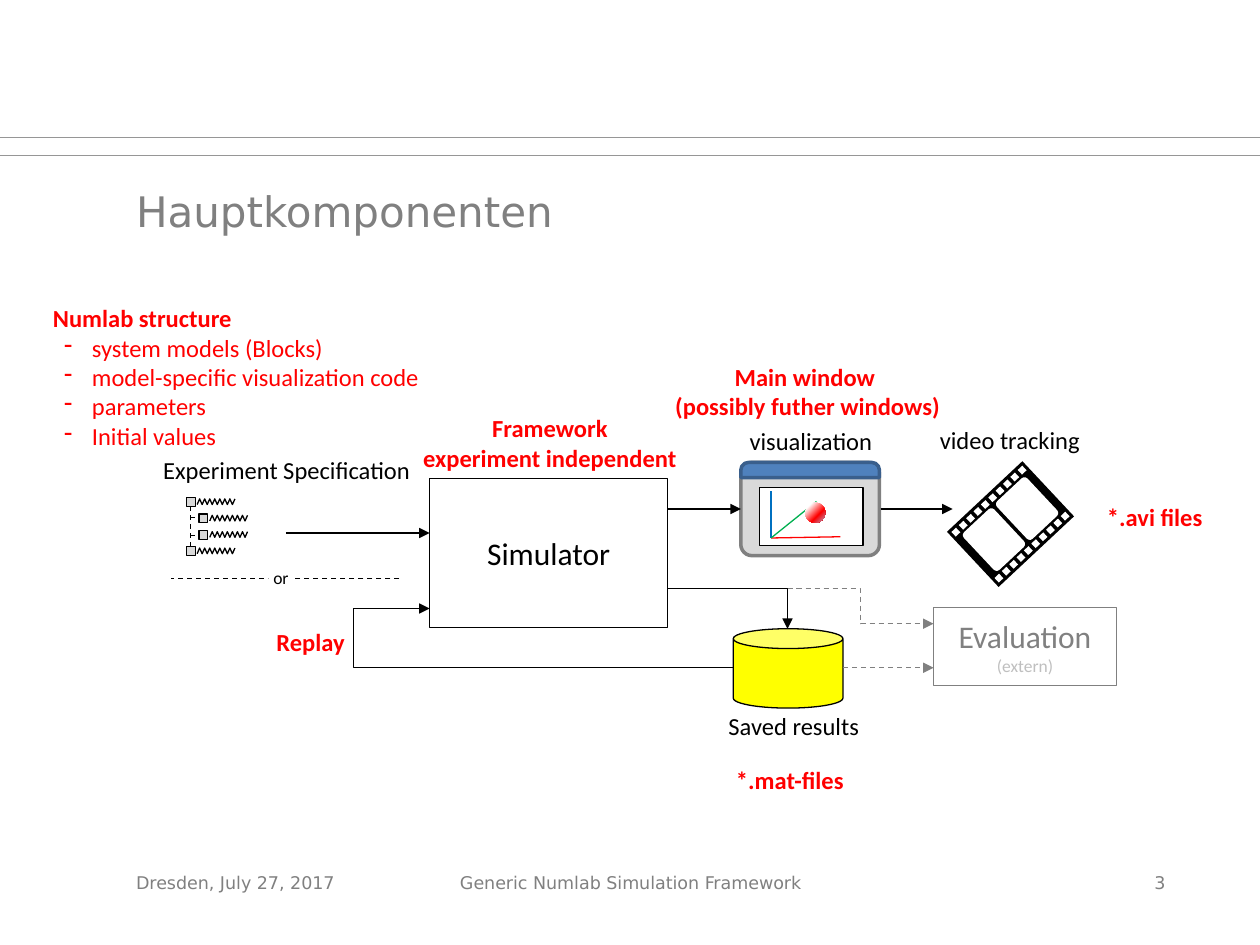
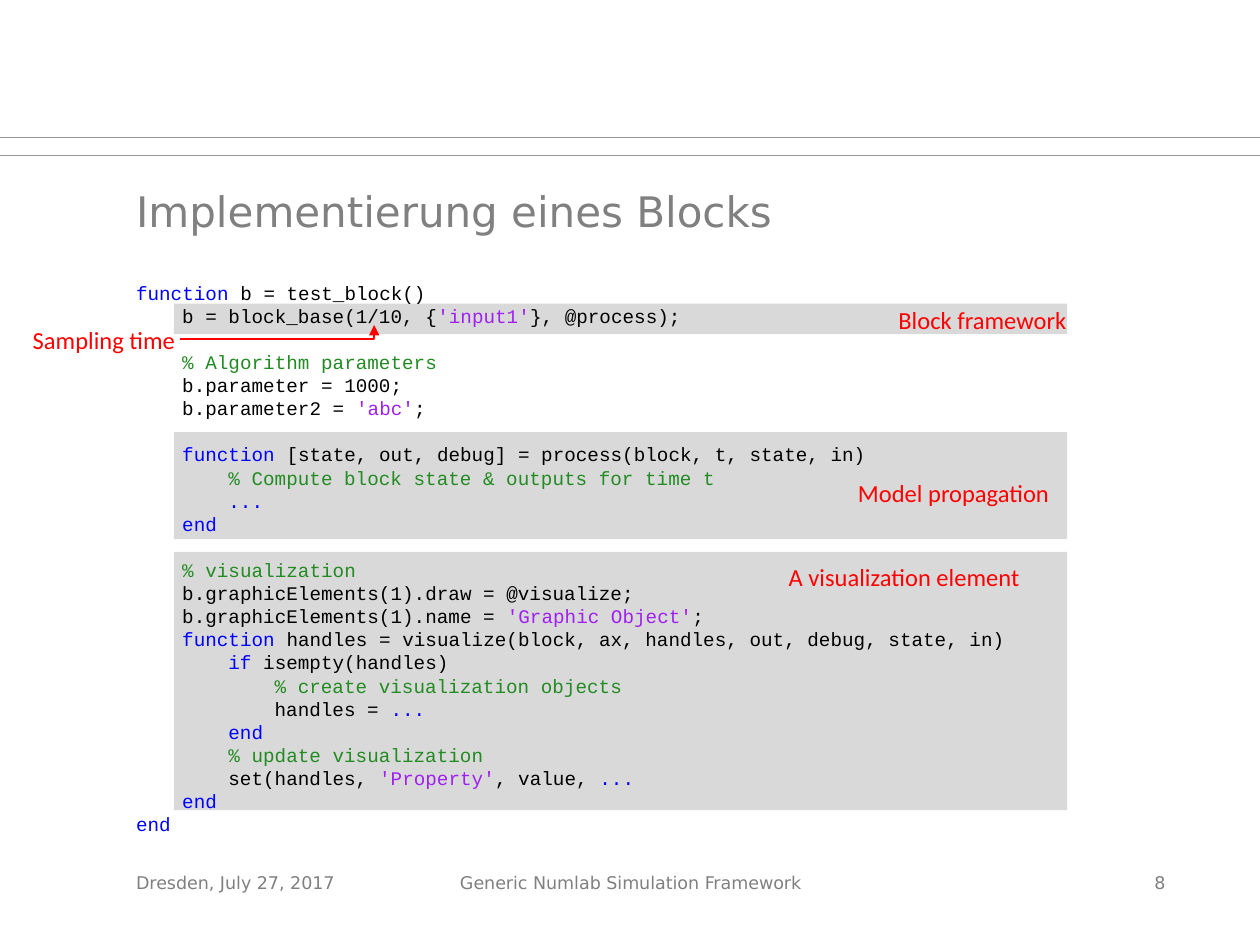
import math
from copy import deepcopy

from lxml import etree
from pptx import Presentation
from pptx import util as u
from pptx.dml.color import RGBColor
from pptx.enum import dml, shapes, text
from pptx.oxml.ns import qn

# ---------- Shared look ----------
COLORS = {
    "black": "000000", "white": "FFFFFF", "grey": "808080", "rule": "969696",
    "pale": "D9D9D9", "faint": "BFBFBF", "red": "FF0000", "yellow": "FFFF00",
    "bar": "4F81BD", "bar_edge": "3A5F8C", "blue": "0070C0", "green": "00B050",
    "lilac": "B3A2C7", "keyword": "0000FF", "string": "A020F0", "comment": "228B22",
}
SANS, BODY, MONO = "DejaVu Sans", "Calibri", "Courier New"
ALIGN = {"l": text.PP_ALIGN.LEFT, "c": text.PP_ALIGN.CENTER, "r": text.PP_ALIGN.RIGHT}
KIND = shapes.MSO_SHAPE
RULES = (1.09, 1.23)
FOOTERS = [  # text, box, alignment; None stands for the slide number
    ("Dresden, July 27, 2017", (1.08, 6.92, 2.25, 0.29), "l"),
    ("Generic Numlab Simulation Framework", (3.42, 6.92, 3.17, 0.33), "c"),
    (None, (7.17, 6.92, 2.08, 0.25), "r"),
]

# ---------- Content: components ----------
CAPTIONS = [  # lines, box, colour, bold
    (["Experiment Specification"], (1.28, 3.61, 1.99, 0.24), "black", False),
    (["Saved results"], (5.77, 5.64, 1.06, 0.24), "black", False),
    (["visualization"], (5.94, 3.38, 0.99, 0.24), "black", False),
    (["video tracking"], (7.45, 3.37, 1.13, 0.24), "black", False),
    (["Main window ", "(possibly futher windows)"], (5.35, 2.87, 2.12, 0.47), "red", True),
    (["*.mat-files "], (5.83, 6.07, 0.92, 0.24), "red", True),
    (["Replay"], (2.19, 4.97, 0.55, 0.24), "red", True),
    (["*.avi files"], (8.78, 3.98, 0.77, 0.24), "red", True),
    (["Framework", "experiment independent"], (3.35, 3.28, 2.03, 0.47), "red", True),
]
STRUCTURE = ("Numlab structure", ["system models (Blocks)", "model-specific visualization code",
                                  "parameters", "Initial values"])
ARROWS = [  # from, to, colour, dashed
    ((2.27, 4.23), (3.41, 4.23), "black", False),
    ((5.3, 4.04), (5.88, 4.04), "black", False),
    ((6.99, 4.04), (7.56, 4.04), "black", False),
    ((6.69, 5.3), (7.41, 5.3), "grey", True),
]
ELBOWS = [  # from, to, colour, dashed, preset, bend position
    ((5.82, 5.3), (3.41, 4.83), "black", False, "bentConnector3", 1.251),
    ((6.25, 4.67), (7.41, 4.95), "grey", True, "bentConnector3", 0.5),
    ((5.3, 4.67), (6.25, 4.99), "black", False, "bentConnector2", None),
]
TREE_NODES = [(1.48, 3.95), (1.58, 4.08), (1.58, 4.21), (1.48, 4.34)]
TREE_BRANCHES = [((1.51, 4.34), (1.51, 4.01)), ((1.51, 4.11), (1.58, 4.11)),
                 ((1.51, 4.25), (1.58, 4.25))]
PLOT_AXES = [((6.12, 3.9), (6.12, 4.27), "blue"), ((6.67, 4.26), (6.12, 4.27), "red"),
             ((6.48, 3.98), (6.12, 4.27), "green")]
BALL_STOPS = [(0.19, "white"), (0.64, "red"), (1.0, "lilac")]

# ---------- Content: block implementation ----------
CODE = [  # level, blank lines before, runs of (text, colour)
    (0, 0, [("function", "keyword"), (" b = test_block()", "black")]),
    (1, 0, [("b = block_base(1/10, {", "black"), ("'input1'", "string"),
            ("}, @process);", "black")]),
    (1, 1, [("% Algorithm parameters", "comment")]),
    (1, 0, [("b.parameter = 1000;", "black")]),
    (1, 0, [("b.parameter2 = ", "black"), ("'abc'", "string"), (";", "black")]),
    (1, 1, [("function", "keyword"),
            (" [state, out, debug] = process(block, t, state, in)", "black")]),
    (2, 0, [("% Compute block state & outputs for time t", "comment")]),
    (2, 0, [("...", "keyword")]),
    (1, 0, [("end", "keyword")]),
    (1, 1, [("% visualization", "comment")]),
    (1, 0, [("b.graphicElements(1).draw = @visualize;", "black")]),
    (1, 0, [("b.graphicElements(1).name = ", "black"), ("'Graphic Object'", "string"),
            (";", "black")]),
    (1, 0, [("function", "keyword"),
            (" handles = visualize(block, ax, handles, out, debug, state, in)", "black")]),
    (2, 0, [("if ", "keyword"), ("isempty(handles)", "black")]),
    (3, 0, [("% create visualization objects", "comment")]),
    (3, 0, [("handles = ", "black"), ("...", "keyword")]),
    (2, 0, [("end", "keyword")]),
    (2, 0, [("% update visualization", "comment")]),
    (2, 0, [("set(handles, ", "black"), ("'Property'", "string"), (", value, ", "black"),
            ("...", "keyword")]),
    (1, 0, [("end", "keyword")]),
    (0, 0, [("end", "keyword")]),
]
CODE_SIZE, CODE_LINE = 11, 13.2
CODE_INDENT = 4 * 0.6 * CODE_SIZE  # four monospaced characters, in points
CODE_PANELS = [(2.41, 0.24), (3.43, 0.85), (4.38, 2.05)]  # top, height
CODE_NOTES = [
    ("A visualization element", (6.26, 4.46, 1.86, 0.24)),
    ("Model propagation", (6.81, 3.79, 1.54, 0.24)),
    ("Block framework", (7.13, 2.42, 1.35, 0.24)),
    ("Sampling time", (0.26, 2.58, 1.14, 0.24)),
]
SAMPLING_ARROW = [(1.43, 2.69), (2.97, 2.69), (2.97, 2.58)]


# ---------- Helpers ----------
def rgb(name):
    return RGBColor.from_string(COLORS[name])


def inches(values):
    return [u.Inches(v) for v in values]


def apply(target, values):
    for key, value in values.items():
        setattr(target, key, value)


def stroke(shape, color, width=0.75, dashed=False, arrow=False):
    shape.line.color.rgb = rgb(color)
    shape.line.width = u.Pt(width)
    if dashed:
        shape.line.dash_style = dml.MSO_LINE.DASH
    if arrow:
        etree.SubElement(shape.line._get_or_add_ln(), qn("a:tailEnd"), type="triangle")


def draw(slide, kind, box, fill, edge=None, width=0.75, adjust=(), turn=0):
    shape = slide.shapes.add_shape(kind, *inches(box))
    shape.shadow.inherit = False
    shape.fill.solid()
    shape.fill.fore_color.rgb = rgb(fill)
    if edge:
        stroke(shape, edge, width)
    else:
        shape.line.fill.background()
    for i, value in enumerate(adjust):
        shape.adjustments[i] = value
    shape.rotation = turn
    return shape


def connect(slide, start, end, color, width=0.75, dashed=False, arrow=False,
            kind=shapes.MSO_CONNECTOR.STRAIGHT):
    line = slide.shapes.add_connector(kind, *inches(start + end))
    stroke(line, color, width, dashed, arrow)
    etree.SubElement(line._element.spPr, qn("a:effectLst"))
    return line


def trace(slide, points, color, width=0.75, arrow=False):
    first, *rest = [inches(p) for p in points]
    builder = slide.shapes.build_freeform(*first, scale=1.0)
    builder.add_line_segments(rest, close=False)
    shape = builder.convert_to_shape()
    shape.shadow.inherit = False
    shape.fill.background()
    stroke(shape, color, width, arrow=arrow)


def frame(shape, margins=(0, 0, 0, 0), middle=True, wrap=False):
    left, top, right, bottom = inches(margins)
    anchor = text.MSO_ANCHOR.MIDDLE if middle else text.MSO_ANCHOR.TOP
    apply(shape.text_frame, {
        "margin_left": left, "margin_top": top, "margin_right": right,
        "margin_bottom": bottom, "vertical_anchor": anchor, "word_wrap": wrap})
    return shape.text_frame


def write(body, runs, size, font, align="l", bold=False, first=False):
    paragraph = body.paragraphs[0] if first else body.add_paragraph()
    paragraph.alignment = ALIGN[align]
    for words, color in runs:
        run = paragraph.add_run()
        run.text = words
        apply(run.font, {"size": u.Pt(size), "name": font, "bold": bold})
        run.font.color.rgb = rgb(color)
    return paragraph


def label(slide, lines, box, color, size=14, font=BODY, align="c", bold=False, **layout):
    body = frame(slide.shapes.add_textbox(*inches(box)), **layout)
    for i, line in enumerate(lines):
        write(body, [(line, color)], size, font, align, bold, first=i == 0)
    return body


def indent(paragraph, left, hang=0):
    props = paragraph._p.get_or_add_pPr()
    props.set("marL", str(int(left)))
    props.set("indent", str(int(hang)))
    return props


def new_slide(prs, title, number):
    slide = prs.slides.add_slide(prs.slide_layouts[6])
    for y in RULES:
        connect(slide, (0, y), (10, y), "rule", 0.5)
    label(slide, [title], (1.08, 1.42, 8.21, 0.42), "grey", 24, SANS, "l",
          margins=(0, 0.05, 0.1, 0.05), middle=False, wrap=True)
    for words, box, align in FOOTERS:
        label(slide, [words or str(number)], box, "grey", 10, SANS, align,
              middle=False, wrap=True)
    return slide


# ---------- Parts of the component diagram ----------
def draw_tree(slide):
    for x, y in TREE_NODES:
        draw(slide, KIND.RECTANGLE, (x, y, 0.07, 0.07), "pale", "black")
        zigzag = [(x + 0.085 + 0.02 * i, y + (0.01 if i % 2 else 0.055)) for i in range(16)]
        trace(slide, zigzag, "black")
    for start, end in TREE_BRANCHES:
        connect(slide, start, end, "black", dashed=True)


def draw_window(slide):
    draw(slide, KIND.ROUNDED_RECTANGLE, (5.88, 3.67, 1.1, 0.74), "pale", "grey", 2, (0.12,))
    draw(slide, KIND.ROUND_2_SAME_RECTANGLE, (5.88, 3.67, 1.1, 0.12), "bar", "bar_edge", 2,
         (0.5, 0))
    draw(slide, KIND.RECTANGLE, (6.03, 3.87, 0.82, 0.46), "white", "black")
    for start, end, color in PLOT_AXES:
        connect(slide, start, end, color)
    ball = draw(slide, KIND.OVAL, (6.39, 3.99, 0.16, 0.16), "red")
    ball.fill.gradient()
    ball.fill.gradient_angle = 315
    stops = next(ball._element.iter(qn("a:gsLst")))
    stops.append(deepcopy(stops[0]))
    for stop, (position, color) in zip(ball.fill.gradient_stops, BALL_STOPS):
        stop.position = position
        stop.color.rgb = rgb(color)


def draw_film(slide, cx=8.02, cy=4.16, turn=46.9):
    sin, cos = math.sin(math.radians(turn)), math.cos(math.radians(turn))

    def part(kind, dx, dy, w, h, fill, adjust=()):
        x, y = cx + dx * cos - dy * sin, cy + dx * sin + dy * cos
        draw(slide, kind, (x - w / 2, y - h / 2, w, h), fill, adjust=adjust, turn=turn)

    part(KIND.RECTANGLE, 0, 0, 0.6, 0.82, "black")
    for dy in (-0.18, 0.18):
        part(KIND.ROUNDED_RECTANGLE, 0, dy, 0.41, 0.33, "white", (0.1,))
    for dx in (-0.25, 0.25):
        for i in range(10):
            part(KIND.RECTANGLE, dx, 0.08 * (i - 4.5), 0.05, 0.05, "white")


def build_components(prs):
    slide = new_slide(prs, "Hauptkomponenten", 3)
    simulator = draw(slide, KIND.RECTANGLE, (3.41, 3.8, 1.89, 1.18), "white", "black")
    evaluation = draw(slide, KIND.RECTANGLE, (7.41, 4.82, 1.45, 0.62), "white", "grey")
    inset = (0.1, 0.05, 0.1, 0.05)
    write(frame(simulator, inset, wrap=True), [("Simulator", "black")], 18, BODY, "c",
          first=True)
    body = frame(evaluation, inset, wrap=True)
    write(body, [("Evaluation", "grey")], 18, BODY, "c", first=True)
    write(body, [("(extern)", "faint")], 10, BODY, "c")
    draw(slide, KIND.CAN, (5.82, 4.99, 0.87, 0.63), "yellow", "black")

    connect(slide, (3.17, 4.59), (1.36, 4.59), "black", dashed=True)
    either = draw(slide, KIND.RECTANGLE, (2.13, 4.5, 0.2, 0.17), "white")
    write(frame(either, (0.04, 0, 0.04, 0)), [("or", "black")], 10, BODY, "c", first=True)

    draw_tree(slide)
    draw_window(slide)
    draw_film(slide)

    # Flow between the components
    for start, end, color, dashed in ARROWS:
        connect(slide, start, end, color, dashed=dashed, arrow=True)
    for start, end, color, dashed, preset, bend in ELBOWS:
        elbow = connect(slide, start, end, color, dashed=dashed, arrow=True,
                        kind=shapes.MSO_CONNECTOR.ELBOW)
        geometry = elbow._element.spPr.find(qn("a:prstGeom"))
        geometry.set("prst", preset)
        if bend is not None:
            etree.SubElement(geometry.find(qn("a:avLst")), qn("a:gd"), name="adj1",
                             fmla=f"val {round(bend * 100000)}")

    # Captions
    for lines, box, color, bold in CAPTIONS:
        label(slide, lines, box, color, bold=bold)
    heading, items = STRUCTURE
    body = label(slide, [heading], (0.42, 2.4, 2.94, 1.18), "red", align="l", bold=True)
    for item in items:
        props = indent(write(body, [(item, "red")], 14, BODY), u.Inches(0.31), u.Inches(-0.22))
        etree.SubElement(props, qn("a:buChar"), char="-")


def build_implementation(prs):
    slide = new_slide(prs, "Implementierung eines Blocks", 8)
    for top, height in CODE_PANELS:
        draw(slide, KIND.RECTANGLE, (1.38, top, 7.09, height), "pale")
    body = frame(slide.shapes.add_textbox(*inches((1.08, 2.18, 8.17, 4.49))),
                 (0, 0.05, 0.1, 0.05), middle=False, wrap=True)
    for i, (level, blanks, runs) in enumerate(CODE):
        paragraph = write(body, runs, CODE_SIZE, MONO, first=i == 0)
        apply(paragraph, {"line_spacing": u.Pt(CODE_LINE),
                          "space_before": u.Pt(blanks * CODE_LINE)})
        indent(paragraph, u.Pt(level * CODE_INDENT))
    for words, box in CODE_NOTES:
        label(slide, [words], box, "red", align="l")
    trace(slide, SAMPLING_ARROW, "red", 1, arrow=True)


def main():
    prs = Presentation()
    apply(prs, {"slide_width": u.Inches(10), "slide_height": u.Inches(7.5)})
    build_components(prs)
    build_implementation(prs)
    prs.save("out.pptx")


if __name__ == "__main__":
    main()
